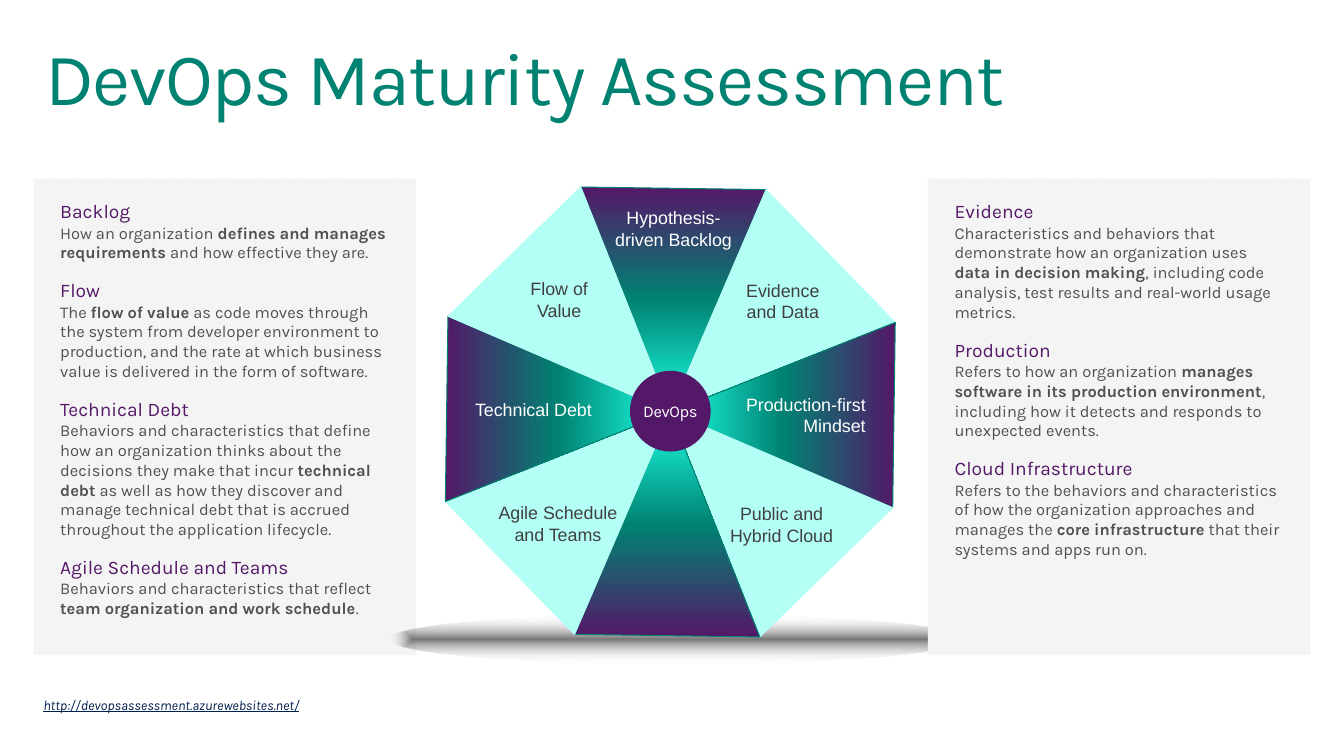
from dataclasses import dataclass
from math import cos, radians, sin

from pptx import Presentation, oxml
from pptx import util as u
from pptx.dml.color import RGBColor
from pptx.enum import dml, shapes, text
from pptx.oxml import ns

LEFT, CENTER, RIGHT = text.PP_ALIGN.LEFT, text.PP_ALIGN.CENTER, text.PP_ALIGN.RIGHT
TOP, MIDDLE = text.MSO_ANCHOR.TOP, text.MSO_ANCHOR.MIDDLE


@dataclass(frozen=True)
class Theme:
    teal: str = "008272"
    purple: str = "541868"
    aqua: str = "1BFFE3"
    pale_aqua: str = "B3FFF6"
    white: str = "FFFFFF"
    panel: str = "F2F2F2"
    body: str = "505050"
    dark: str = "404040"
    link: str = "002050"
    brand_font: str = "Karla"
    label_font: str = "Arial"
    title_size: float = 54
    heading_size: float = 14
    label_size: float = 13
    body_size: float = 12
    link_size: float = 10


LEFT_TOPICS = [
    ("Backlog", "How an organization **defines and manages requirements** "
     "and how effective they are."),
    ("Flow", "The **flow of value** as code moves through the system from developer "
     "environment to production, and the rate at which business value is delivered "
     "in the form of software."),
    ("Technical Debt", "Behaviors and characteristics that define how an organization "
     "thinks about the decisions they make that incur **technical debt** as well as how "
     "they discover and manage technical debt that is accrued throughout the "
     "application lifecycle."),
    ("Agile Schedule and Teams", "Behaviors and characteristics that reflect "
     "**team organization and work schedule**."),
]
RIGHT_TOPICS = [
    ("Evidence", "Characteristics and behaviors that demonstrate how an organization uses "
     "**data in decision making**, including code analysis, test results and real-world "
     "usage metrics."),
    ("Production", "Refers to how an organization **manages software in its production "
     "environment**, including how it detects and responds to unexpected events."),
    ("Cloud Infrastructure", "Refers to the behaviors and characteristics of how the "
     "organization approaches and manages the **core infrastructure** that their systems "
     "and apps run on."),
]
# Clockwise from the top: label, alignment, anchor, insets
PLAIN = (7.2, 3.6, 7.2, 3.6)
SLICES = [
    ("Hypothesis-\ndriven Backlog", CENTER, TOP, (7.2, 14.4, 7.2, 3.6)),
    ("Evidence\nand Data", CENTER, MIDDLE, PLAIN),
    ("Production-first\nMindset", RIGHT, MIDDLE, (7.2, 3.6, 21.6, 3.6)),
    ("Public and\nHybrid Cloud", CENTER, MIDDLE, PLAIN),
    ("", CENTER, MIDDLE, PLAIN),
    ("Agile Schedule\nand Teams", CENTER, MIDDLE, PLAIN),
    ("Technical Debt", LEFT, MIDDLE, (21.6, 3.6, 7.2, 3.6)),
    ("Flow of\nValue", CENTER, MIDDLE, PLAIN),
]


class SlideBuilder:
    def __init__(self, page, theme):
        self.page, self.theme = page, theme

    def style(self, span, size, color, font=None, bold=False, spacing=0):
        """Format one run; spacing is the letter spacing in points."""
        span.font.name = font or self.theme.brand_font
        span.font.size, span.font.bold = u.Pt(size), bold
        span.font.color.rgb = RGBColor.from_string(color)
        if spacing:
            span.font._element.set("spc", str(round(spacing * 100)))

    def frame(self, box, insets, anchor=TOP, wrap=True):
        frame = box.text_frame
        frame.word_wrap, frame.vertical_anchor = wrap, anchor
        (frame.margin_left, frame.margin_top,
         frame.margin_right, frame.margin_bottom) = map(u.Pt, insets)
        return frame

    def label(self, box, words, size, color, insets, anchor=TOP, align=LEFT,
              wrap=True, **look):
        """Put one paragraph of evenly formatted words in a box."""
        para = self.frame(box, insets, anchor, wrap).paragraphs[0]
        para.text, para.alignment = words, align
        for span in para.runs:
            self.style(span, size, color, **look)
        return para

    def text_box(self, place, words, size, color, insets, **look):
        box = self.page.shapes.add_textbox(*map(u.Pt, place))
        return self.label(box, words, size, color, insets, **look)

    def shape(self, kind, place):
        shape = self.page.shapes.add_shape(kind, *map(u.Pt, place))
        shape.shadow.inherit = False
        shape.line.fill.background()
        return shape

    def solid(self, shape, fill, line, width):
        shape.fill.solid()
        shape.fill.fore_color.rgb = RGBColor.from_string(fill)
        self.outline(shape, line, width)

    def outline(self, shape, color, width):
        shape.line.color.rgb = RGBColor.from_string(color)
        shape.line.width = u.Pt(width)

    def gradient(self, shape, stops, direction):
        """Fill with (position, colour, opacity) stops in percent."""
        shape.fill.gradient()
        old = shape._element.spPr.find(ns.qn("a:gradFill"))
        marks = "".join(
            f'<a:gs pos="{at * 1000}"><a:srgbClr val="{color}">'
            f'<a:alpha val="{opacity * 1000}"/></a:srgbClr></a:gs>'
            for at, color, opacity in stops)
        new = oxml.parse_xml(f'<a:gradFill {ns.nsdecls("a")} rotWithShape="1">'
                             f'<a:gsLst>{marks}</a:gsLst>{direction}</a:gradFill>')
        old.getparent().replace(old, new)

    def panel(self, left, topics):
        theme = self.theme
        box = self.shape(shapes.MSO_SHAPE.RECTANGLE, (left, 130.3, 278.6, 347))
        box.fill.patterned()
        box.fill.pattern = dml.MSO_PATTERN.DARK_UPWARD_DIAGONAL
        box.fill.fore_color.rgb = RGBColor.from_string(theme.white)
        box.fill.back_color.rgb = RGBColor.from_string(theme.panel)
        frame = self.frame(box, (19.4, 15.1, 19.4, 15.1))
        for index, (heading, description) in enumerate(topics):
            para = frame.add_paragraph() if index else frame.paragraphs[0]
            para.text, para.alignment = heading, LEFT
            if index:
                para.space_before = u.Pt(12)
            self.style(para.runs[0], theme.heading_size, theme.purple)
            para = frame.add_paragraph()
            para.alignment = LEFT
            for part, words in enumerate(description.split("**")):
                span = para.add_run()
                span.text = words
                self.style(span, theme.body_size, theme.body, bold=part % 2 == 1)

    def floor_shadow(self, place):
        theme = self.theme
        self.gradient(self.shape(shapes.MSO_SHAPE.OVAL, place),
                      [(0, theme.dark, 70), (100, theme.white, 0)],
                      '<a:path path="shape"><a:fillToRect l="50000" t="50000" '
                      'r="50000" b="50000"/></a:path>')

    def wheel(self, x, y, radius, slices):
        """Draw equal triangular slices around a hub; every other one is a gradient."""
        theme, step = self.theme, 360 / len(slices)
        corners = [(u.Pt(x + radius * cos(radians(angle))),
                    u.Pt(y + radius * sin(radians(angle))))
                   for angle in (step * k - 111.7 for k in range(len(slices) + 1))]
        for index, (words, align, anchor, insets) in enumerate(slices):
            outline = self.page.shapes.build_freeform(*corners[index])
            outline.add_line_segments([corners[index + 1], (u.Pt(x), u.Pt(y))], close=True)
            piece = outline.convert_to_shape()
            piece.shadow.inherit = False
            if index % 2:
                self.solid(piece, theme.pale_aqua, theme.pale_aqua, 0)
            else:
                angle = round((90 + step * index) % 360 * 60000)
                self.gradient(piece, [(0, theme.purple, 100), (50, theme.teal, 100),
                                      (100, theme.aqua, 100)],
                              f'<a:lin ang="{angle}" scaled="0"/>')
                self.outline(piece, theme.teal, 0)
            if words:
                self.label(piece, words, theme.label_size,
                           theme.dark if index % 2 else theme.white,
                           insets, anchor, align, font=theme.label_font)
        hub = self.shape(shapes.MSO_SHAPE.OVAL, (x - 28.4, y - 29, 56.8, 56.8))
        self.solid(hub, theme.purple, theme.purple, 2)
        self.label(hub, "DevOps", theme.body_size, theme.white, (0, 0, 0, 0),
                   MIDDLE, CENTER, spacing=-0.3)


def main():
    deck = Presentation()
    deck.slide_width, deck.slide_height = u.Pt(979.2), u.Pt(550.8)
    theme = Theme()
    builder = SlideBuilder(deck.slides.add_slide(deck.slide_layouts[6]), theme)

    title = builder.text_box((21.6, 23, 936, 72), "DevOps Maturity Assessment",
                             theme.title_size, theme.teal, (11.5, 7.2, 11.5, 7.2),
                             spacing=-1)
    title.line_spacing = 0.9
    builder.panel(24.5, LEFT_TOPICS)
    builder.floor_shadow((283, 447.8, 419.8, 35.3))
    builder.wheel(488.4, 300.2, 176.4, SLICES)
    builder.panel(676.1, RIGHT_TOPICS)
    link = builder.text_box((24.5, 504, 213.8, 19.4),
                            "http://devopsassessment.azurewebsites.net/",
                            theme.link_size, theme.link, PLAIN, wrap=False)
    link.runs[0].font.italic = link.runs[0].font.underline = True
    deck.save("out.pptx")


if __name__ == "__main__":
    main()
